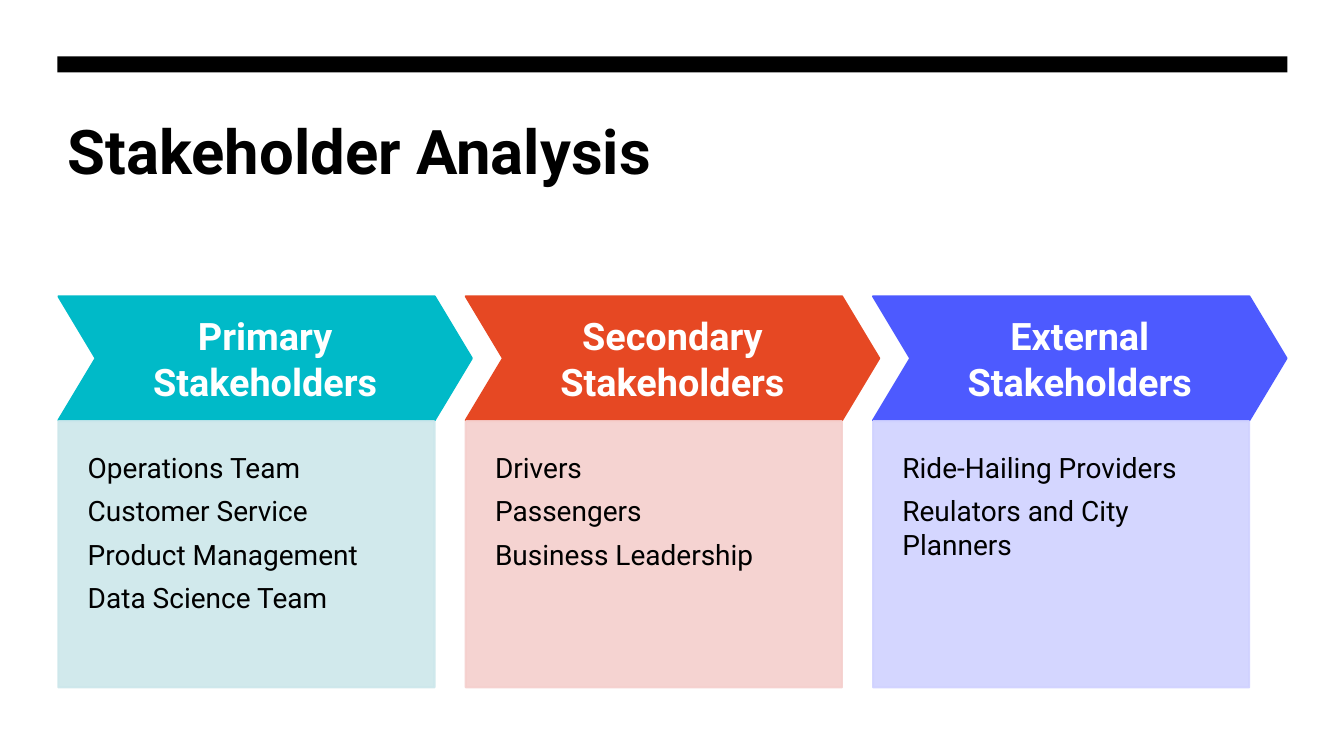
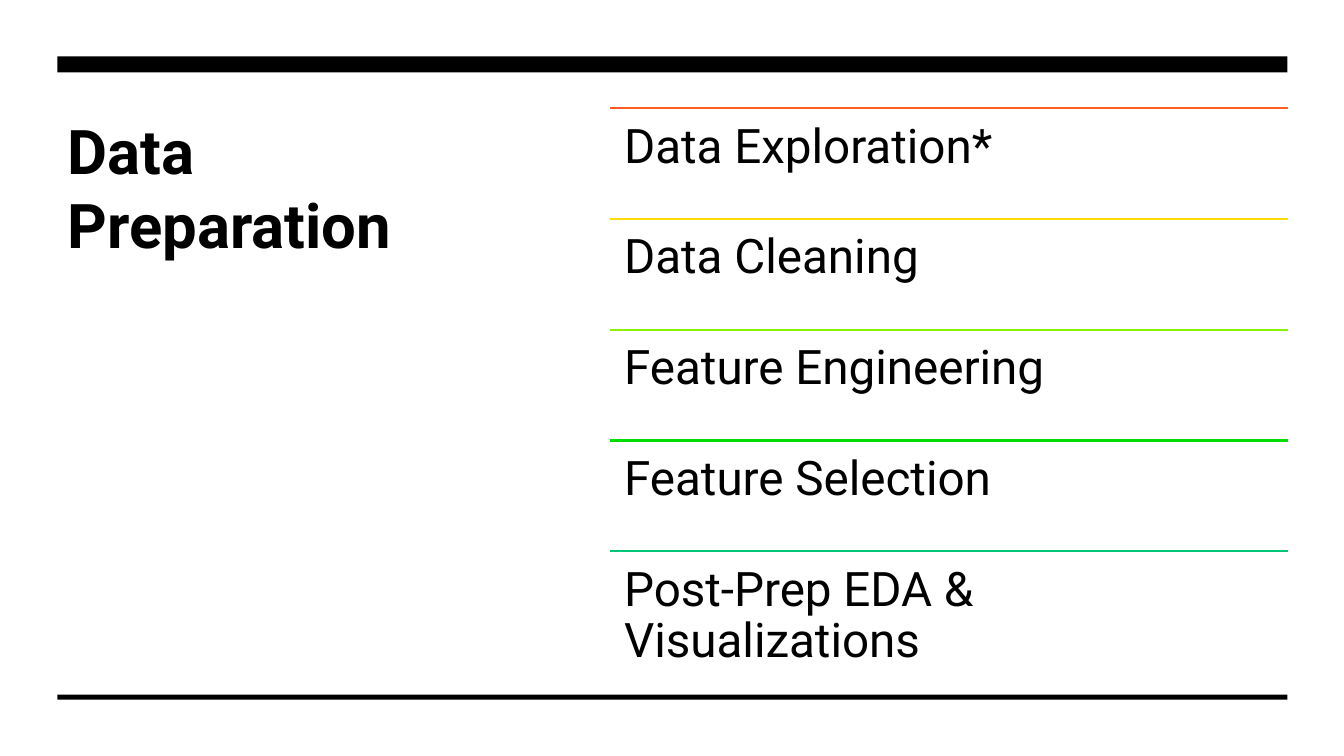
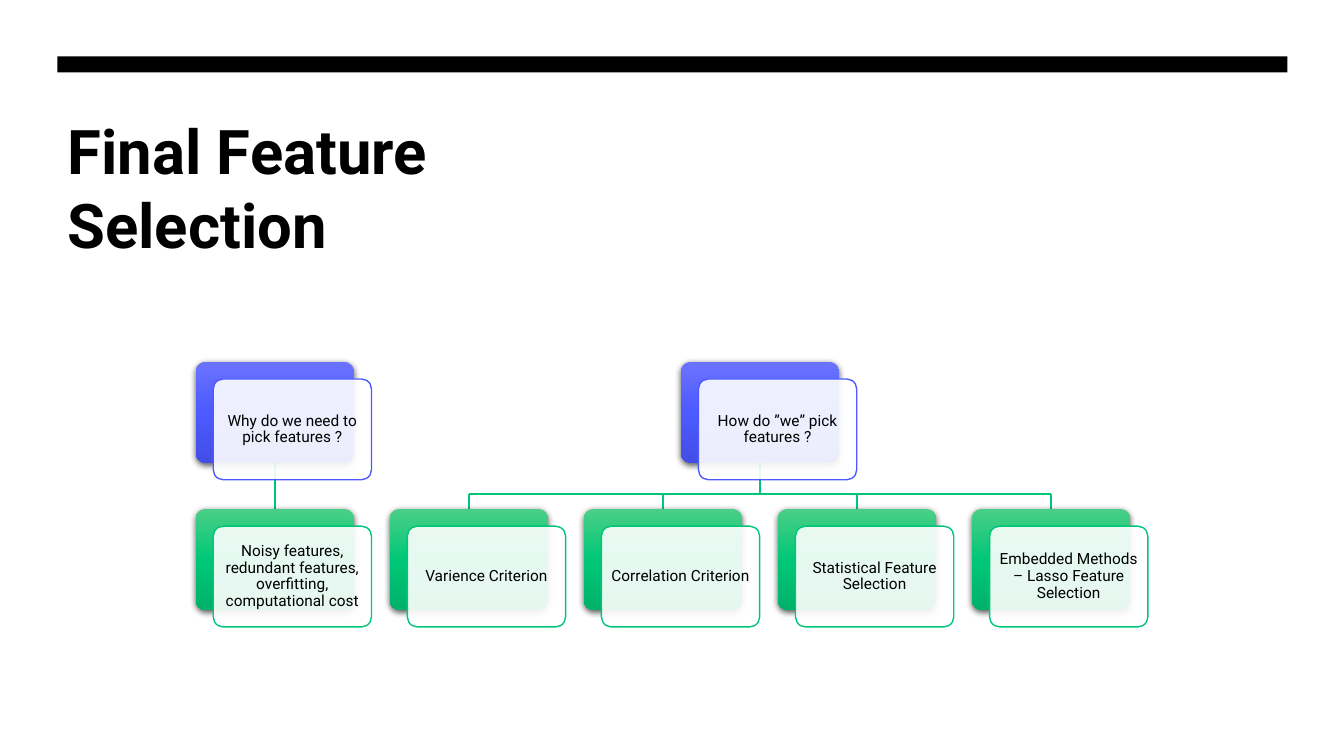
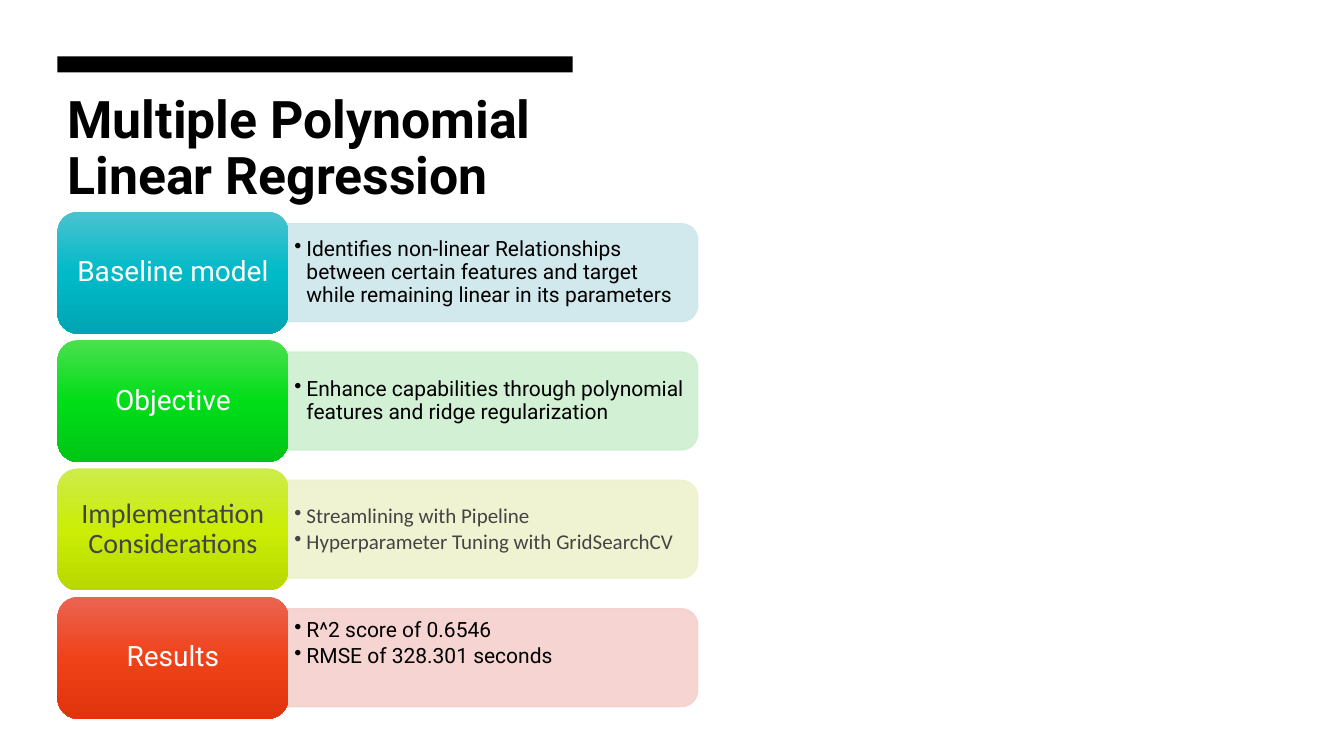
from copy import deepcopy

from lxml.etree import SubElement
from pptx import Presentation
from pptx.dml.color import RGBColor
from pptx.enum.shapes import MSO_CONNECTOR, MSO_SHAPE as SHAPE
from pptx.enum.text import MSO_ANCHOR as ANCHOR, MSO_AUTO_SIZE, PP_ALIGN as ALIGN
from pptx.oxml.ns import qn
from pptx.util import Inches, Pt

# Shared style
FONT = "Roboto"
BLACK, WHITE, GREY = "000000", "FFFFFF", "444444"
TEAL, ORANGE, BLUE, GREEN = "00BAC8", "E64823", "4D5AFF", "00C777"
BLUE_GRADIENT = ("6A73FF", BLUE, "424EE5")
GREEN_GRADIENT = ("4BCF87", GREEN, "00B16A")
MARGIN, CONTENT_WIDTH = 0.57, 12.2
BAND_TOP, BAND_HEIGHT = 0.56, 0.16


def rgb(value):
    return RGBColor.from_string(value)


def write_text(shape, lines, *, size, color=BLACK, font=FONT, bold=False,
               align=ALIGN.LEFT, anchor=ANCHOR.TOP, insets=(0.1, 0.05, 0.1, 0.05),
               line_spacing=1.0, after=0.35, bullet_indent=None):
    """Fill a shape with paragraphs; after is a share of the text size."""
    frame = shape.text_frame
    frame.word_wrap = True
    frame.auto_size = MSO_AUTO_SIZE.NONE
    frame.vertical_anchor = anchor
    (frame.margin_left, frame.margin_top,
     frame.margin_right, frame.margin_bottom) = map(Inches, insets)
    for index, line in enumerate(lines):
        paragraph = frame.add_paragraph() if index else frame.paragraphs[0]
        paragraph.text = line
        paragraph.alignment = align
        paragraph.line_spacing = line_spacing
        paragraph.space_before = Pt(0)
        paragraph.space_after = Pt(size * after)
        if bullet_indent:
            properties = paragraph._p.get_or_add_pPr()
            properties.set("marL", str(Inches(bullet_indent)))
            properties.set("indent", str(-Inches(bullet_indent)))
            SubElement(properties, qn("a:buChar"), char="•")
        paragraph.font.name = font
        paragraph.font.size = Pt(size)
        paragraph.font.bold = bold
        paragraph.font.color.rgb = rgb(color)


def fill_gradient(shape, colors):
    """Three colours from top to bottom."""
    shape.fill.gradient()
    shape.fill.gradient_angle = 270
    stop_list = shape.element.spPr.find(".//" + qn("a:gsLst"))
    stop_list.append(deepcopy(stop_list[-1]))
    for stop, color, position in zip(shape.fill.gradient_stops, colors, (0, 0.5, 1)):
        stop.color.rgb = rgb(color)
        stop.position = position


def add_box(slide, kind, left, top, width, height, fill, *, line=None,
            line_width=1, opacity=100, adjustment=None, shadow=False):
    """Preset shape; fill is one colour or three gradient colours."""
    shape = slide.shapes.add_shape(kind, *map(Inches, (left, top, width, height)))
    if adjustment is not None:
        shape.adjustments[0] = adjustment
    if isinstance(fill, tuple):
        fill_gradient(shape, fill)
    else:
        shape.fill.solid()
        shape.fill.fore_color.rgb = rgb(fill)
    if line:
        shape.line.color.rgb = rgb(line)
        shape.line.width = Pt(line_width)
    else:
        shape.line.fill.background()
    if opacity < 100:
        for color in shape.element.spPr.iter(qn("a:srgbClr")):
            if color.get("val") == fill:
                SubElement(color, qn("a:alpha"), val=str(opacity * 1000))
    shape.shadow.inherit = False
    if shadow:
        effects = shape.element.spPr.find(qn("a:effectLst"))
        outer = SubElement(effects, qn("a:outerShdw"), blurRad=str(Pt(4.5)),
                           dist=str(Pt(1.5)), dir="5400000", rotWithShape="0")
        color = SubElement(outer, qn("a:srgbClr"), val=BLACK)
        SubElement(color, qn("a:alpha"), val="63000")
    return shape


def add_text(slide, left, top, width, height, lines, **text_format):
    box = slide.shapes.add_textbox(*map(Inches, (left, top, width, height)))
    write_text(box, lines, **text_format)


def add_line(slide, x1, y1, x2, y2, color):
    line = slide.shapes.add_connector(MSO_CONNECTOR.STRAIGHT,
                                      *map(Inches, (x1, y1, x2, y2)))
    line.line.color.rgb = rgb(color)
    line.line.width = Pt(1.5)
    SubElement(line.element.spPr, qn("a:effectLst"))


def add_titled_slide(presentation, text, *, width=CONTENT_WIDTH, top=1.07,
                     height=1.6, size=44, line_spacing=1.0,
                     band_width=CONTENT_WIDTH):
    """Slide with the black top band and the bold title."""
    slide = presentation.slides.add_slide(presentation.slide_layouts[5])
    title = slide.shapes.title
    title.left, title.top = Inches(MARGIN), Inches(top)
    title.width, title.height = Inches(width), Inches(height)
    write_text(title, [text], size=size, bold=True, line_spacing=line_spacing, after=0)
    add_box(slide, SHAPE.RECTANGLE, MARGIN, BAND_TOP, band_width, BAND_HEIGHT, BLACK)
    return slide


# Slide 1: chevron columns
def build_stakeholders(presentation):
    slide = add_titled_slide(presentation, "Stakeholder Analysis")
    columns = [
        ("Primary Stakeholders", TEAL, "CCE7EB",
         ["Operations Team", "Customer Service", "Product Management",
          "Data Science Team"]),
        ("Secondary Stakeholders", ORANGE, "F5CFCD",
         ["Drivers", "Passengers", "Business Leadership"]),
        ("External Stakeholders", BLUE, "D0D2FF",
         ["Ride-Hailing Providers", "Reulators and City Planners"]),
    ]
    for index, (heading, color, tint, members) in enumerate(columns):
        left = 0.58 + 4.04 * index
        chevron = add_box(slide, SHAPE.CHEVRON, left, 2.94, 4.1, 1.23, color,
                          line=color, line_width=1.5, adjustment=0.3)
        write_text(chevron, [heading], size=27, color=WHITE, bold=True,
                   align=ALIGN.CENTER, anchor=ANCHOR.MIDDLE, insets=(0.15,) * 4)
        card = add_box(slide, SHAPE.RECTANGLE, left, 4.18, 3.73, 2.64, tint,
                       line=tint, line_width=1.5, opacity=90)
        write_text(card, members, size=20, insets=(0.29, 0.29, 0.29, 0.59))


# Slide 2: ruled list
def build_preparation(presentation):
    slide = add_titled_slide(presentation, "Data Preparation", width=4.69, height=3.68)
    add_box(slide, SHAPE.RECTANGLE, MARGIN, 6.89, CONTENT_WIDTH, 0.05, BLACK)
    steps = [
        ("Data Exploration*", "FE5D21"),
        ("Data Cleaning", "FEDA0B"),
        ("Feature Engineering", "89F201"),
        ("Feature Selection", "00DD04"),
        ("Post-Prep EDA & Visualizations", GREEN),
    ]
    left, width, row_height = 6.05, 6.72, 1.1
    for index, (step, color) in enumerate(steps):
        top = 1.07 + row_height * index
        add_line(slide, left, top, left + width, top, color)
        add_text(slide, left, top, width, row_height, [step], size=34,
                 line_spacing=0.9, insets=(0.14,) * 4)


# Slide 3: two trees
NODE_WIDTH, NODE_HEIGHT, NODE_PITCH = 1.57, 1.0, 1.925
PARENT_TOP, CHILD_TOP, BRANCH_Y = 3.59, 5.05, 4.9


def node_left(column):
    return 1.94 + NODE_PITCH * column


def node_center(column):
    return node_left(column) + NODE_WIDTH / 2


def add_node(slide, column, top, text, gradient):
    left = node_left(column)
    add_box(slide, SHAPE.ROUNDED_RECTANGLE, left, top, NODE_WIDTH, NODE_HEIGHT,
            gradient, adjustment=0.1, shadow=True)
    front = add_box(slide, SHAPE.ROUNDED_RECTANGLE, left + 0.175, top + 0.17,
                    NODE_WIDTH, NODE_HEIGHT, WHITE, line=gradient[1],
                    opacity=90, adjustment=0.1)
    write_text(front, [text], size=11, align=ALIGN.CENTER, anchor=ANCHOR.MIDDLE,
               insets=(0.05,) * 4, line_spacing=0.9)


def add_tree(slide, first_column, question, answers):
    columns = range(first_column, first_column + len(answers))
    middle = (columns[0] + columns[-1]) / 2
    trunk = node_center(middle)
    add_line(slide, trunk, PARENT_TOP + NODE_HEIGHT, trunk, BRANCH_Y, GREEN)
    if len(answers) > 1:
        add_line(slide, node_center(columns[0]), BRANCH_Y,
                 node_center(columns[-1]), BRANCH_Y, GREEN)
    for column in columns:
        x = node_center(column)
        add_line(slide, x, BRANCH_Y, x, CHILD_TOP, GREEN)
    add_node(slide, middle, PARENT_TOP, question, BLUE_GRADIENT)
    for column, answer in zip(columns, answers):
        add_node(slide, column, CHILD_TOP, answer, GREEN_GRADIENT)


def build_selection(presentation):
    slide = add_titled_slide(presentation, "Final Feature Selection",
                             width=4.76, height=2.35)
    add_tree(slide, 0, "Why do we need to pick features ?",
             ["Noisy features, redundant features, overfitting, computational cost"])
    add_tree(slide, 1, "How do ”we” pick features ?",
             ["Varience Criterion", "Correlation Criterion",
              "Statistical Feature Selection",
              "Embedded Methods – Lasso Feature Selection"])


# Slide 4: labelled rows
def add_row(slide, top, label, gradient, tint, points, *, color=BLACK,
            label_color=WHITE, font=FONT, bottom_inset=0.03):
    label_width, panel_width, panel_height = 2.29, 4.07, 0.97
    text_left = MARGIN + label_width
    # The panel is an upright shape turned so its rounded end faces right
    center_x, center_y = text_left - 0.01 + panel_width / 2, top + 0.605
    panel = add_box(slide, SHAPE.ROUND_2_SAME_RECTANGLE,
                    center_x - panel_height / 2, center_y - panel_width / 2,
                    panel_height, panel_width, tint, line=tint, opacity=90)
    panel.rotation = 90
    add_text(slide, text_left, top + 0.17, 4.02, 0.87, points, size=15,
             color=color, font=font, anchor=ANCHOR.MIDDLE, line_spacing=0.9,
             after=0.15, insets=(0.06, 0.03, 0.06, bottom_inset), bullet_indent=0.12)
    tab = add_box(slide, SHAPE.ROUNDED_RECTANGLE, MARGIN, top, label_width, 1.21,
                  gradient)
    write_text(tab, [label], size=20, color=label_color, font=font,
               align=ALIGN.CENTER, anchor=ANCHOR.MIDDLE, line_spacing=0.9,
               insets=(0.08, 0.04, 0.08, 0.04))


def build_regression(presentation):
    slide = add_titled_slide(presentation, "Multiple Polynomial Linear Regression",
                             width=5.2, top=0.88, size=37, line_spacing=0.9,
                             band_width=5.11)
    rows = [
        ("Baseline model", ("4BC2D0", TEAL, "00A5B2"), "CCE7EB",
         ["Identifies non-linear Relationships between certain features and "
          "target while remaining linear in its parameters"], {}),
        ("Objective", ("4BE04E", "00DE18", "00C516"), "CCEFD0",
         ["Enhance capabilities through polynomial features and ridge "
          "regularization"], {}),
        ("Implementation Considerations", ("CDEC4C", "CBED06", "B8D800"), "EFF2CD",
         ["Streamlining with Pipeline", "Hyperparameter Tuning with GridSearchCV"],
         {"color": GREY, "label_color": GREY, "font": "Calibri"}),
        ("Results", ("EB6451", "F04219", "E0340C"), "F5D0CD",
         ["R^2 score of 0.6546", "RMSE of 328.301 seconds"],
         {"bottom_inset": 0.3}),
    ]
    first_top, last_top = 2.1, 5.92
    pitch = (last_top - first_top) / (len(rows) - 1)
    for index, (label, gradient, tint, points, row_format) in enumerate(rows):
        add_row(slide, first_top + pitch * index, label, gradient, tint, points,
                **row_format)


def main():
    presentation = Presentation()
    presentation.slide_width = Inches(13.33)
    presentation.slide_height = Inches(7.5)
    build_stakeholders(presentation)
    build_preparation(presentation)
    build_selection(presentation)
    build_regression(presentation)
    presentation.save("out.pptx")


if __name__ == "__main__":
    main()
